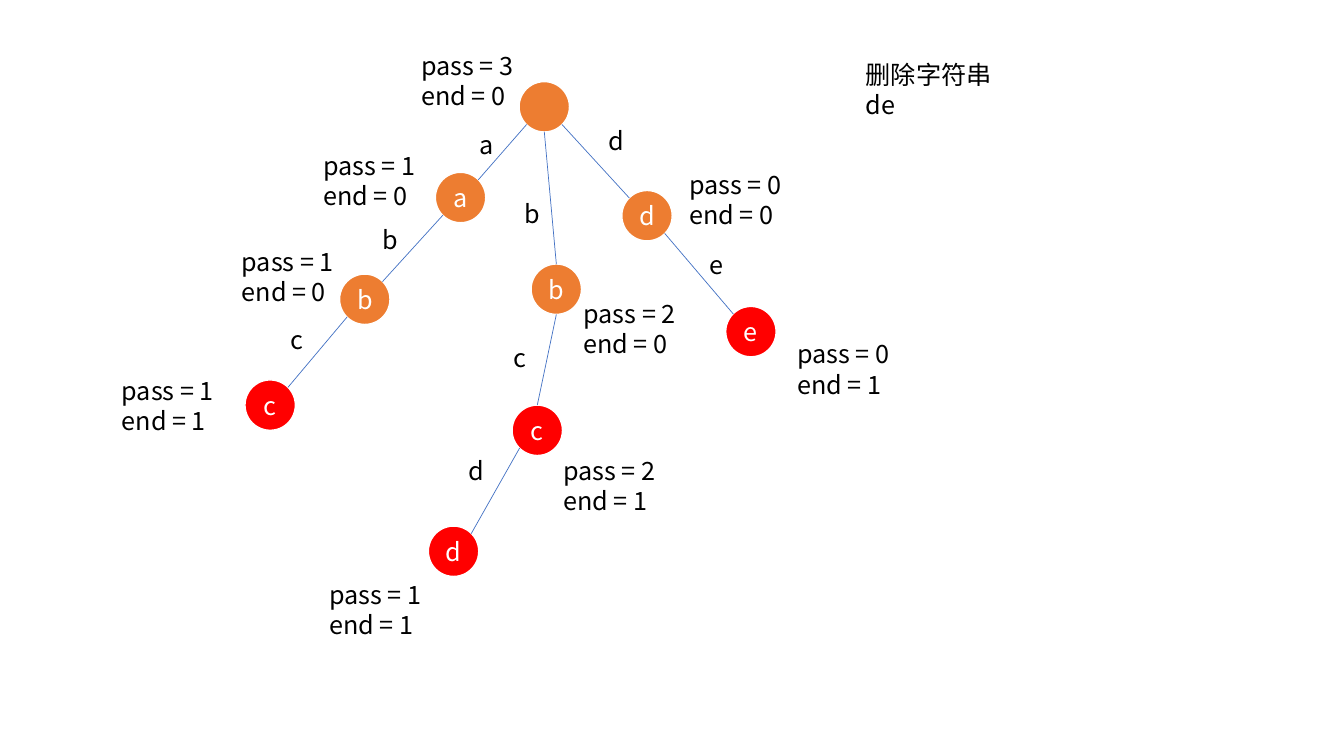
from lxml import etree
from pptx import Presentation
from pptx.dml.color import RGBColor
from pptx.enum import shapes, text
from pptx.oxml.ns import qn
from pptx.util import Pt

# Content: prefix -> node corner, pass, end, counter corner, edge letter corner
TRIE = {
    "": ((370.8, 58.3), 3, 0, (293.8, 32.4), None),
    "a": ((311, 123.1), 1, 0, (223.9, 103.7), (335.5, 88.6)),
    "ab": ((242.6, 195.8), 1, 0, (165.6, 172.1), (266.4, 157)),
    "abc": ((175, 271.4), 1, 1, (79.9, 264.2), (200.2, 228.2)),
    "b": ((379.4, 188.6), 2, 0, (409.7, 209.5), (367.9, 138.2)),
    "bc": ((365.8, 289.4), 2, 1, (395.3, 321.8), (360, 241.2)),
    "bcd": ((306, 375.8), 1, 1, (228.2, 410.4), (327.6, 321.8)),
    "d": ((444.2, 136.1), 0, 0, (485.3, 117.4), (427.7, 85.7)),
    "de": ((518.4, 218.9), 0, 1, (562.3, 238.3), (499.7, 174.2)),
}
TASK = "删除字符串de"

NODE = 36
NEAR, FAR = 0.15, 0.85  # diagonal points on a circle, as shares of its box
FONT = "Noto Sans CJK SC"
ORANGE = RGBColor(0xED, 0x7D, 0x31)
RED = RGBColor(0xFF, 0, 0)
BLUE = RGBColor(0x44, 0x72, 0xC4)
WHITE = RGBColor(0xFF, 0xFF, 0xFF)
BLACK = RGBColor(0, 0, 0)

deck = Presentation()
deck.slide_width, deck.slide_height = Pt(960), Pt(540)
page = deck.slides.add_slide(deck.slide_layouts[6])


def write(shape, words, color):
    shape.text_frame.text = words
    for para in shape.text_frame.paragraphs:
        for span in para.runs:
            span.font.size = Pt(18)
            span.font.name = FONT
            span.font.color.rgb = color
            east = etree.SubElement(span._r.get_or_add_rPr(), qn("a:ea"))
            east.set("typeface", FONT)


def add_text(words, corner, width, height):
    box = page.shapes.add_textbox(*map(Pt, (*corner, width, height)))
    box.text_frame.word_wrap = True
    write(box, words, BLACK)
    return box


def add_node(letter, corner, color):
    node = page.shapes.add_shape(shapes.MSO_SHAPE.FLOWCHART_CONNECTOR,
                                 *map(Pt, (*corner, NODE, NODE)))
    node.shadow.inherit = False
    node.fill.solid()
    node.fill.fore_color.rgb = color
    node.line.color.rgb = WHITE
    node.line.width = Pt(1)
    if letter:
        write(node, letter, WHITE)
        node.text_frame.vertical_anchor = text.MSO_ANCHOR.MIDDLE
        node.text_frame.paragraphs[0].alignment = text.PP_ALIGN.CENTER


def add_edge(parent, child):
    """Join top and bottom of stacked nodes, else the facing diagonals."""
    shift = child[0] - parent[0]
    if abs(shift) < NODE:
        start, end = (0.5, 1), (0.5, 0)
    elif shift < 0:
        start, end = (NEAR, FAR), (FAR, NEAR)
    else:
        start, end = (FAR, FAR), (NEAR, NEAR)
    ends = [Pt(corner + share * NODE)
            for node, shares in ((parent, start), (child, end))
            for corner, share in zip(node, shares)]
    edge = page.shapes.add_connector(shapes.MSO_CONNECTOR.STRAIGHT, *ends)
    edge.line.color.rgb = BLUE
    edge.line.width = Pt(0.5)
    etree.SubElement(edge._element.spPr, qn("a:effectLst"))


# Trie: a node is red where a word ends
for prefix, (corner, passes, ends, counter, letter_at) in TRIE.items():
    add_node(prefix[-1:], corner, RED if ends else ORANGE)
    add_text(f"pass = {passes}\nend = {ends}", counter, 88.6, 51)
    if prefix:
        add_edge(TRIE[prefix[:-1]][0], corner)
        add_text(prefix[-1], letter_at, 25, 29)

# Task: the wider right margin sends the word to a second line
task = add_text(TASK, (611.3, 38.9), 125.3, 29)
task.text_frame.margin_right = Pt(18)

deck.save("out.pptx")
